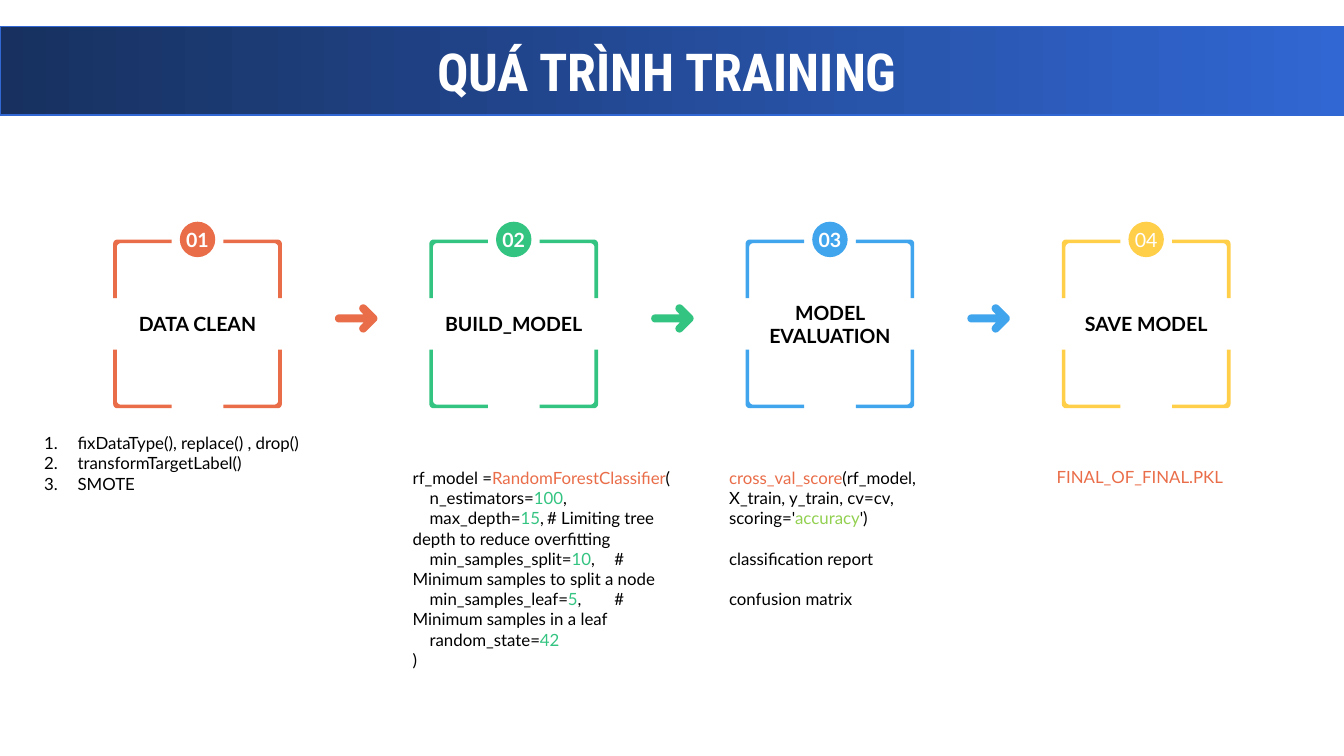
from dataclasses import dataclass
from math import cos, radians, sin

from lxml.etree import SubElement
from pptx import Presentation
from pptx.dml.color import RGBColor
from pptx.enum.shapes import MSO_SHAPE
from pptx.enum.text import MSO_ANCHOR, PP_ALIGN
from pptx.oxml.ns import qn
from pptx.util import Pt


@dataclass(frozen=True)
class Theme:
    coral: str = "EA6D49"
    green: str = "33C481"
    blue: str = "41A5EE"
    gold: str = "FFCF4A"
    lime: str = "92D050"
    black: str = "000000"
    white: str = "FFFFFF"
    navy: str = "17305F"
    royal: str = "3167D3"
    body: str = "Lato"
    head: str = "Roboto Condensed"
    small: float = 9
    label: float = 10.5
    title: float = 28


def arc(x, y, r, start, end, steps=8):
    turns = [radians(start + (end - start) * i / steps) for i in range(steps + 1)]
    return [(x + r * cos(a), y + r * sin(a)) for a in turns]


class Deck:
    """Draw the parts of a process slide in one theme."""

    def __init__(self, theme, slide):
        self.theme, self.slide = theme, slide

    def paint(self, shape, color):
        shape.shadow.inherit = False
        shape.fill.solid()
        shape.fill.fore_color.rgb = RGBColor.from_string(color)
        shape.line.fill.background()

    def letter(self, par, runs, size, face=None, bold=False):
        style = {"name": face or self.theme.body, "size": Pt(size), "bold": bold}
        for text, color in runs:
            run = par.add_run()
            run.text = text
            for key, value in style.items():
                setattr(run.font, key, value)
            run.font.color.rgb = RGBColor.from_string(color)

    def center(self, shape, text, color, size, pad, face=None, bold=True):
        frame = shape.text_frame
        form = {"word_wrap": True, "vertical_anchor": MSO_ANCHOR.MIDDLE}
        form |= {f"margin_{side}": Pt(pad) for side in ("left", "right", "top", "bottom")}
        for key, value in form.items():
            setattr(frame, key, value)
        par = frame.paragraphs[0]
        par.alignment = PP_ALIGN.CENTER
        self.letter(par, [(text, color)], size, face, bold)

    def outline(self, loops, x, y, color):
        loops = [[(Pt(a), Pt(b)) for a, b in loop] for loop in loops]
        pen = self.slide.shapes.build_freeform(*loops[0][0], scale=1.0)
        for i, loop in enumerate(loops):
            if i:
                pen.move_to(*loop[0])
            pen.add_line_segments(loop[1:], close=True)
        shape = pen.convert_to_shape(Pt(x), Pt(y))
        self.paint(shape, color)
        return shape

    def frame(self, x, y, side, text, color):
        arm, thick, bend = 31.3, 1.9, 2.2
        hub = thick + bend
        corner = [(arm, 0), *arc(bend, bend, bend, 270, 180), (0, arm),
                  (thick, arm), *arc(hub, hub, bend, 180, 270), (arm, thick)]
        loops = [[(abs(right - a), abs(low - b)) for a, b in corner]
                 for right in (0, side) for low in (0, side)]
        shape = self.outline(loops, x, y, color)
        self.center(shape, text, self.theme.black, self.theme.label, 4)

    def arrow(self, x, y, color):
        r, end, wing, notch = 2.15, 9.2, 5.4, 4
        loop = [*arc(-end, 0, r, 90, 270), (notch, -r),
                *arc(end - wing, -wing, r, 135, 315), *arc(end, 0, r, 315, 405),
                *arc(end - wing, wing, r, 45, 225), (notch, r)]
        self.outline([loop], x, y, color)

    def badge(self, x, y, size, text, color, bold):
        shape = self.slide.shapes.add_shape(
            MSO_SHAPE.OVAL, Pt(x), Pt(y), Pt(size), Pt(size))
        self.paint(shape, color)
        self.center(shape, text, self.theme.white, self.theme.label, 0, bold=bold)

    def note(self, x, y, width, height, lines, gap=0, count=False):
        box = self.slide.shapes.add_textbox(Pt(x), Pt(y), Pt(width), Pt(height))
        frame = box.text_frame
        frame.word_wrap = True
        for i, (runs, indent, tab) in enumerate(lines):
            par = frame.add_paragraph() if i else frame.paragraphs[0]
            if i:
                par.space_before = Pt(gap)
            props = par._p.get_or_add_pPr()
            props.set("marL", str(Pt(18 if count else 0)))
            props.set("indent", str(Pt(-18 if count else indent)))
            if count:
                SubElement(props, qn("a:buFont"), typeface=self.theme.body)
                SubElement(props, qn("a:buAutoNum"), type="arabicPeriod")
            if tab:
                tabs = SubElement(props, qn("a:tabLst"))
                SubElement(tabs, qn("a:tab"), pos=str(Pt(tab)), algn="l")
            self.letter(par, runs, self.theme.small)

    def banner(self, text):
        theme, shapes = self.theme, self.slide.shapes
        bar = shapes.add_shape(MSO_SHAPE.RECTANGLE, 0, Pt(14.2), Pt(720), Pt(47.5))
        bar.shadow.inherit = False
        bar.fill.gradient()
        bar.fill.gradient_angle = 0
        for stop, color in zip(bar.fill.gradient_stops, (theme.navy, theme.royal)):
            stop.color.rgb = RGBColor.from_string(color)
        bar.line.color.rgb = RGBColor.from_string(theme.royal)
        bar.line.width = Pt(0.75)
        box = shapes.add_textbox(Pt(33.3), Pt(23), Pt(648), Pt(29.5))
        self.center(box, text, theme.white, theme.title, 7.2, theme.head)


def main():
    show = Presentation()
    show.slide_width, show.slide_height = Pt(720), Pt(405)
    theme = Theme()
    deck = Deck(theme, show.slides.add_slide(show.slide_layouts[6]))
    black, coral, green = theme.black, theme.coral, theme.green

    left, top, side, pitch, dot = 60.7, 128.4, 90.3, 169.4, 19
    steps = [("DATA CLEAN", coral), ("BUILD_MODEL", green),
             ("MODEL EVALUATION", theme.blue), ("SAVE MODEL", theme.gold)]
    for i, (text, color) in enumerate(steps):
        x, last = left + i * pitch, i == len(steps) - 1
        deck.frame(x, top, side, text, color)
        deck.badge(x + (side - dot) / 2, 118.8, dot, f"{i + 1:02}", color, not last)
        if not last:
            deck.arrow(x + 130.1, 170.6, color)

    tasks = ["fixDataType(), replace() , drop()", "transformTargetLabel()", "SMOTE"]
    deck.note(16.5, 228.3, 178, 40, [([(task, black)], 0, 0) for task in tasks], count=True)

    args = [("n_estimators=", "100", ",", 0),
            ("max_depth=", "15", ",\t# Limiting tree depth to reduce overfitting", 75),
            ("min_samples_split=", "10", ",\t# Minimum samples to split a node", 102.3),
            ("min_samples_leaf=", "5", ",\t# Minimum samples in a leaf", 99.6),
            ("random_state=", "42", "", 0)]
    code = [([("rf_model =", black), ("RandomForestClassifier", coral), ("(", black)], 0, 0)]
    for name, value, rest, tab in args:
        tail = [(rest, black)] if rest else []
        code.append(([(name, black), (value, green), *tail], 9.1, tab))
    code.append(([(")", black)], 0, 0))
    deck.note(214, 247, 166.3, 116.6, code)

    score = [("cross_val_score", coral),
             ("(rf_model, X_train, y_train, cv=cv, scoring='", black),
             ("accuracy", theme.lime), ("')", black)]
    checks = [score, [("classification report", black)], [("confusion matrix", black)]]
    deck.note(383.5, 247, 142.6, 83.5, [(runs, 0, 0) for runs in checks], gap=10.8)
    deck.note(559, 246.6, 122.4, 18, [([("FINAL_OF_FINAL.PKL", coral)], 0, 0)])

    deck.banner("QUÁ TRÌNH TRAINING")
    show.save("out.pptx")


if __name__ == "__main__":
    main()
